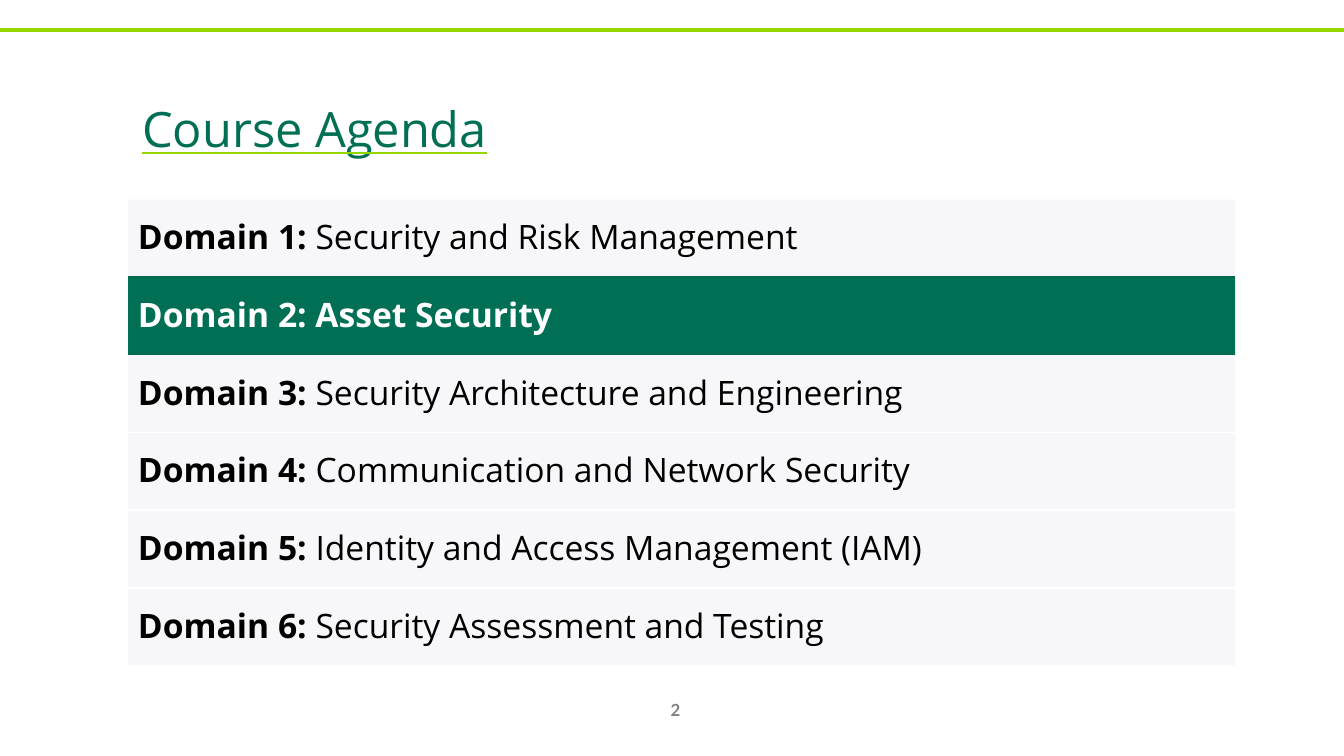
from lxml.etree import SubElement
from pptx import Presentation
from pptx.dml.color import RGBColor
from pptx.enum.shapes import MSO_CONNECTOR, MSO_SHAPE
from pptx.enum.text import MSO_ANCHOR, MSO_AUTO_SIZE, PP_ALIGN
from pptx.oxml.ns import qn
from pptx.util import Inches, Pt

COLORS = {
    "lime": "95D600",
    "green": "006F53",
    "dark_green": "00654B",
    "pale": "F7F7F9",
    "white": "FFFFFF",
    "black": "000000",
    "grey": "808080",
}
DOMAINS = [
    "Security and Risk Management",
    "Asset Security",
    "Security Architecture and Engineering",
    "Communication and Network Security",
    "Identity and Access Management (IAM)",
    "Security Assessment and Testing",
]
CURRENT = 1
LEFT, TOP, WIDTH, ROW_HEIGHT = 1.27, 1.98, 10.98, 0.772


def rgb(name):
    """Return the palette colour with this name."""
    return RGBColor.from_string(COLORS[name])


def add_run(p, text, size=24, color="black", bold=False, font="Open Sans"):
    """Append a formatted run to a paragraph."""
    r = p.add_run()
    r.text = text
    r.font.size = Pt(size)
    r.font.bold = bold
    r.font.name = font
    r.font.color.rgb = rgb(color)
    return r


def add_rule(s, left, top, width, color, weight):
    """Draw a horizontal line."""
    line = s.shapes.add_connector(
        MSO_CONNECTOR.STRAIGHT,
        Inches(left), Inches(top), Inches(left + width), Inches(top))
    line.line.color.rgb = rgb(color)
    line.line.width = Pt(weight)
    SubElement(line._element.spPr, qn("a:effectLst"))


def add_title(s, text):
    """Place the raised title with its lime underline."""
    sp = s.shapes.title
    sp.left, sp.top = Inches(1.31), Inches(0.61)
    sp.width, sp.height = Inches(9.48), Inches(1.25)
    tf = sp.text_frame
    tf.auto_size = MSO_AUTO_SIZE.NONE
    tf.vertical_anchor = MSO_ANCHOR.MIDDLE
    p = tf.paragraphs[0]
    p.alignment = PP_ALIGN.LEFT
    r = add_run(p, text, size=60, color="green")
    r.font.underline = True
    rPr = r.font._element
    rPr.set("baseline", "12000")
    underline = rPr.makeelement(qn("a:uFill"), {})
    fill = SubElement(underline, qn("a:solidFill"))
    SubElement(fill, qn("a:srgbClr"), val=COLORS["lime"])
    rPr.find(qn("a:latin")).addprevious(underline)


def add_domain(s, index, name):
    """Add one agenda bar, highlighted when it is the current domain."""
    current = index == CURRENT
    sp = s.shapes.add_shape(
        MSO_SHAPE.RECTANGLE, Inches(LEFT), Inches(TOP + index * ROW_HEIGHT),
        Inches(WIDTH), Inches(ROW_HEIGHT))
    sp.shadow.inherit = False
    sp.fill.solid()
    sp.fill.fore_color.rgb = rgb("green" if current else "pale")
    sp.line.fill.background()
    tf = sp.text_frame
    tf.word_wrap = True
    tf.vertical_anchor = MSO_ANCHOR.MIDDLE
    tf.margin_left = tf.margin_right = Inches(0.1)
    tf.margin_top = tf.margin_bottom = Inches(0.1)
    p = tf.paragraphs[0]
    p.alignment = PP_ALIGN.LEFT
    p.line_spacing = 0.9
    color = "white" if current else "black"
    add_run(p, f"Domain {index + 1}: ", color=color, bold=True)
    add_run(p, name, color=color, bold=current)


def add_agenda(s):
    """Stack the agenda bars with a line at each edge."""
    for i in range(len(DOMAINS) + 1):
        edge = "dark_green" if i in (CURRENT, CURRENT + 1) else "white"
        add_rule(s, LEFT, TOP + i * ROW_HEIGHT, WIDTH, edge, 2)
        if i < len(DOMAINS):
            add_domain(s, i, DOMAINS[i])


def add_page_number(s, number):
    """Add the page number at the foot of the slide."""
    sp = s.shapes.add_textbox(
        Inches(6.39), Inches(6.84), Inches(0.62), Inches(0.4))
    tf = sp.text_frame
    tf.word_wrap = True
    tf.vertical_anchor = MSO_ANCHOR.MIDDLE
    p = tf.paragraphs[0]
    p.alignment = PP_ALIGN.CENTER
    add_run(p, number, size=12, color="grey", bold=True, font="Lato")


def main():
    """Build and save the agenda slide."""
    prs = Presentation()
    prs.slide_width, prs.slide_height = Inches(13.33), Inches(7.5)
    s = prs.slides.add_slide(prs.slide_layouts[5])
    add_rule(s, 0, 0.3, 13.33, "lime", 3)
    add_page_number(s, "2")
    add_title(s, "Course Agenda")
    add_agenda(s)
    prs.save("out.pptx")


if __name__ == "__main__":
    main()
